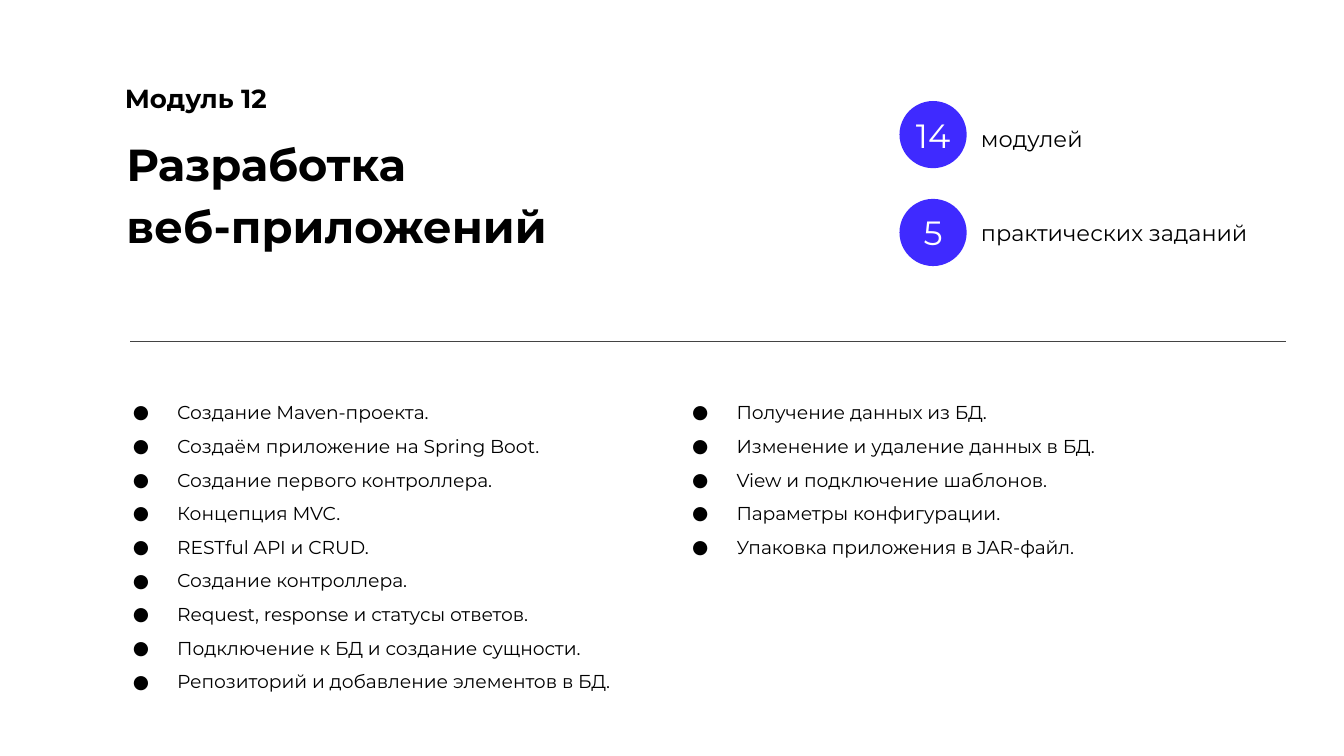
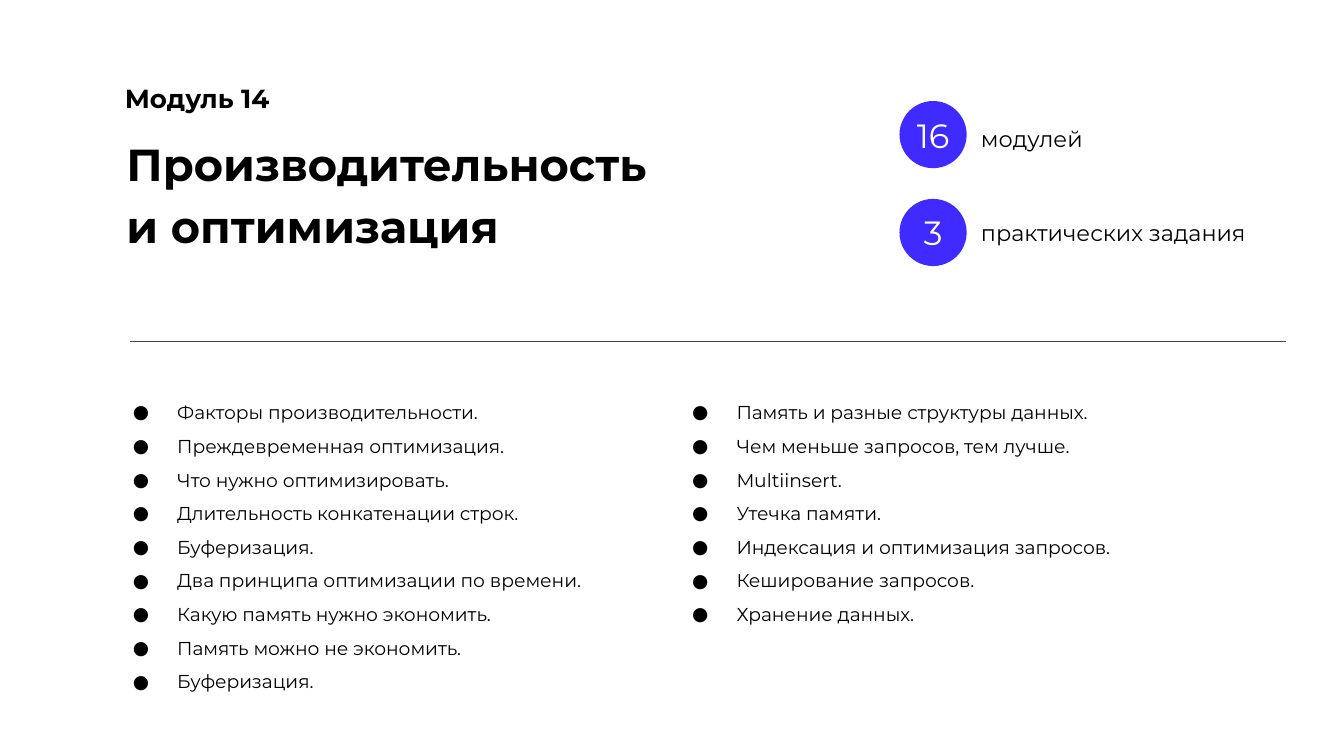
import pptx
import pptx.util
import pptx.dml.color
import pptx.enum.shapes
import pptx.enum.text
import pptx.oxml.ns
from lxml import etree

Cm, Pt = pptx.util.Cm, pptx.util.Pt
ALIGN, ANCHOR = pptx.enum.text.PP_ALIGN, pptx.enum.text.MSO_ANCHOR
qn = pptx.oxml.ns.qn

FONT = "Montserrat"
BLACK, WHITE, ACCENT, RULE = "000000", "FFFFFF", "3F2AFF", "434343"

MODULES = [
    {
        "number": "Модуль 12",
        "title": ["Разработка", "веб-приложений"],
        "counts": [("14", "модулей"), ("5", "практических заданий")],
        "topics": [
            ["Создание Maven-проекта.",
             "Создаём приложение на Spring Boot.",
             "Создание первого контроллера.",
             "Концепция MVC.",
             "RESTful API и CRUD.",
             "Создание контроллера.",
             "Request, response и статусы ответов.",
             "Подключение к БД и создание сущности.",
             "Репозиторий и добавление элементов в БД."],
            ["Получение данных из БД.",
             "Изменение и удаление данных в БД.",
             "View и подключение шаблонов.",
             "Параметры конфигурации.",
             "Упаковка приложения в JAR-файл."],
        ],
    },
    {
        "number": "Модуль 14",
        "title": ["Производительность", "и оптимизация"],
        "counts": [("16", "модулей"), ("3", "практических задания")],
        "topics": [
            ["Факторы производительности.",
             "Преждевременная оптимизация.",
             "Что нужно оптимизировать.",
             "Длительность конкатенации строк.",
             "Буферизация.",
             "Два принципа оптимизации по времени.",
             "Какую память нужно экономить.",
             "Память можно не экономить.",
             "Буферизация."],
            ["Память и разные структуры данных.",
             "Чем меньше запросов, тем лучше.",
             "Multiinsert.",
             "Утечка памяти.",
             "Индексация и оптимизация запросов.",
             "Кеширование запросов.",
             "Хранение данных."],
        ],
    },
]


def rgb(color):
    return pptx.dml.color.RGBColor.from_string(color)


def write(sp, paragraphs, size, color=BLACK, bold=False, spacing=1.15,
          align=ALIGN.LEFT, anchor=ANCHOR.TOP, bullet=None):
    """Fill a shape with paragraphs, each a list of lines."""
    tf = sp.text_frame
    tf.word_wrap = True
    tf.auto_size = pptx.enum.text.MSO_AUTO_SIZE.NONE
    tf.vertical_anchor = anchor
    tf.margin_left = tf.margin_top = tf.margin_right = tf.margin_bottom = 0
    for i, lines in enumerate(paragraphs):
        p = tf.add_paragraph() if i else tf.paragraphs[0]
        if bullet:
            pPr = p._p.get_or_add_pPr()
            pPr.set("marL", str(Cm(1.27)))
            pPr.set("indent", str(-Cm(0.84)))
            buClr = etree.SubElement(pPr, qn("a:buClr"))
            etree.SubElement(buClr, qn("a:srgbClr"), val=BLACK)
            etree.SubElement(pPr, qn("a:buFont"), typeface=FONT)
            etree.SubElement(pPr, qn("a:buChar"), char=bullet)
        p.alignment = align
        p.line_spacing = spacing
        for j, line in enumerate(lines):
            if j:
                p.add_line_break()
            r = p.add_run()
            r.text = line
            r.font.name = FONT
            r.font.size = Pt(size)
            r.font.bold = bold
            r.font.color.rgb = rgb(color)


prs = pptx.Presentation()
prs.slide_width, prs.slide_height = Cm(25.4), Cm(14.29)
title_only = prs.slide_layouts[5]

for module in MODULES:
    s = prs.slides.add_slide(title_only)

    number = s.shapes.add_textbox(Cm(2.36), Cm(1.47), Cm(12.17), Cm(0.71))
    write(number, [[module["number"]]], 14, bold=True)

    title = s.shapes.title
    title.left, title.top, title.width, title.height = Cm(2.39), Cm(2.44), Cm(12.17), Cm(3)
    write(title, [module["title"]], 24, bold=True)

    for i, (count, label) in enumerate(module["counts"]):
        circle = s.shapes.add_shape(pptx.enum.shapes.MSO_SHAPE.OVAL,
                                    Cm(17), Cm(1.91 + 1.85 * i), Cm(1.27), Cm(1.27))
        circle.shadow.inherit = False
        circle.fill.solid()
        circle.fill.fore_color.rgb = rgb(ACCENT)
        circle.line.fill.background()
        write(circle, [[count]], 18, WHITE, spacing=1, align=ALIGN.CENTER, anchor=ANCHOR.MIDDLE)

        caption = s.shapes.add_textbox(Cm(18.54), Cm(2.29 + 1.77 * i), Cm(5.84), Cm(0.86))
        write(caption, [[label]], 12)

    rule = s.shapes.add_connector(pptx.enum.shapes.MSO_CONNECTOR.STRAIGHT,
                                  Cm(2.46), Cm(6.45), Cm(24.31), Cm(6.45))
    rule.line.color.rgb = rgb(RULE)
    rule.line.width = Pt(0.75)
    etree.SubElement(rule._element.spPr, qn("a:effectLst"))

    for i, topics in enumerate(module["topics"]):
        column = s.shapes.add_textbox(Cm(2.08 + 10.57 * i), Cm(7.37), Cm(10.31), Cm(6))
        write(column, [[topic] for topic in topics], 10, spacing=1.5, bullet="●")

prs.save("out.pptx")
